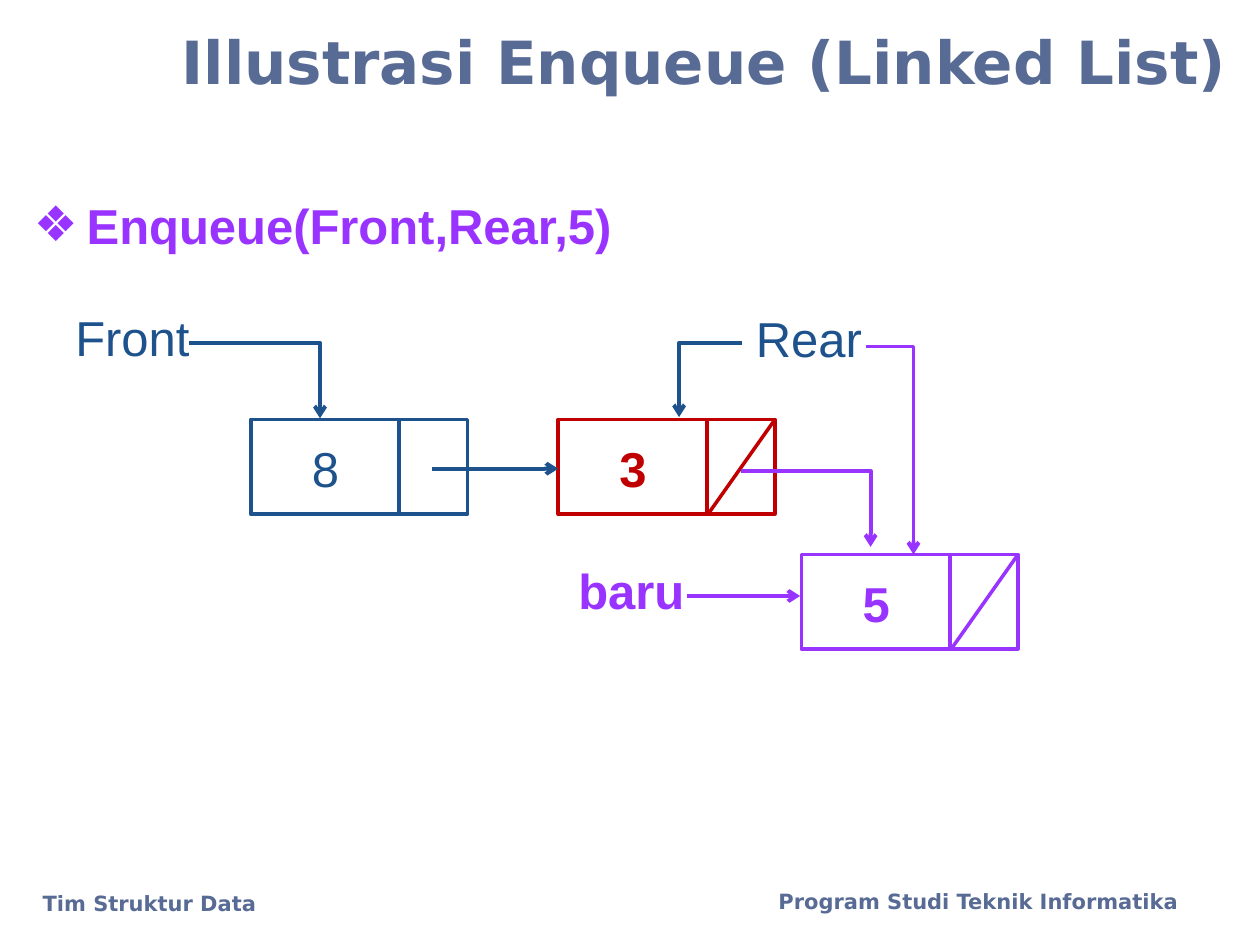
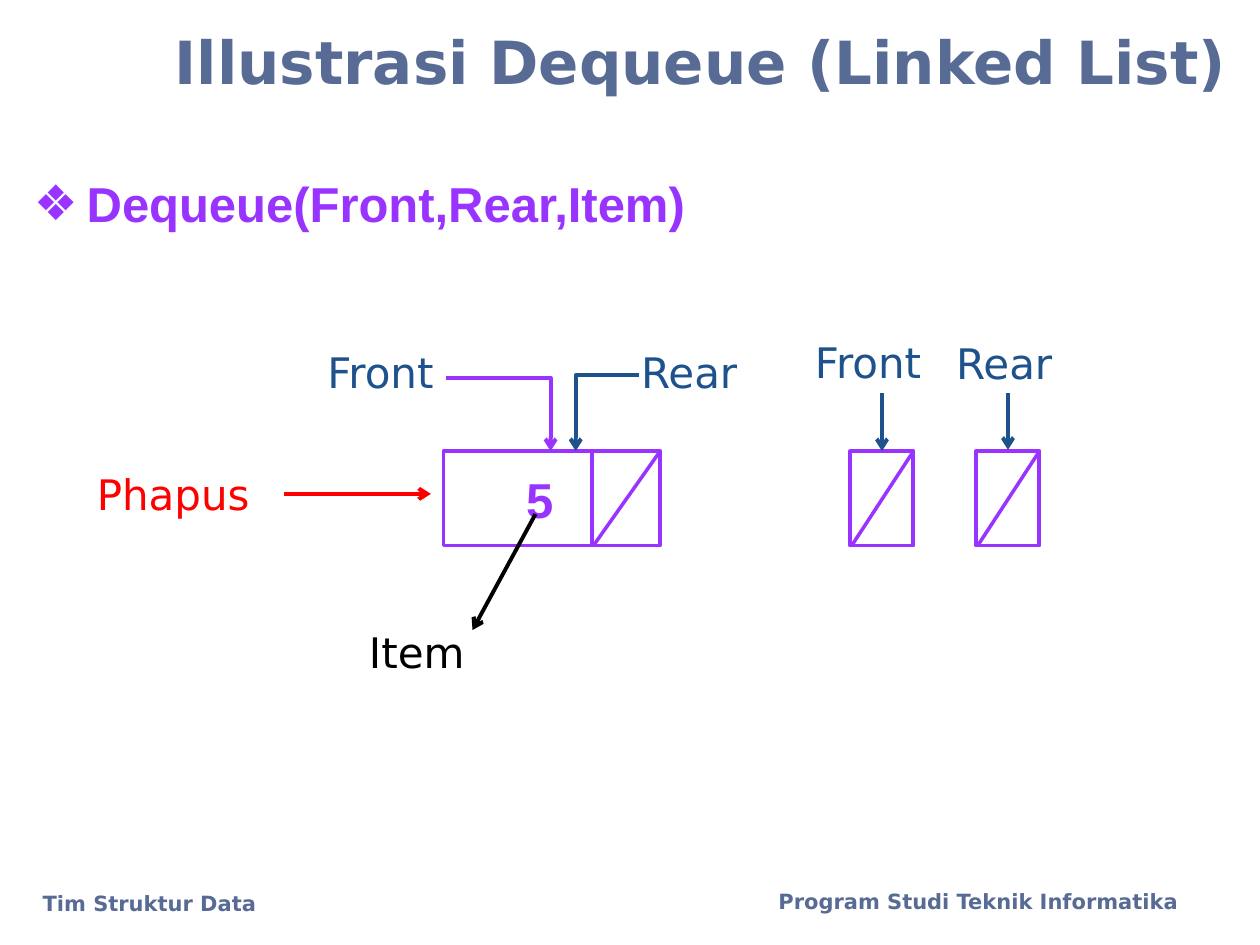
from dataclasses import dataclass

from lxml import etree
from pptx import Presentation
from pptx.dml.color import RGBColor
from pptx.enum.shapes import MSO_CONNECTOR, MSO_SHAPE
from pptx.enum.text import MSO_ANCHOR, PP_ALIGN
from pptx.oxml.ns import qn
from pptx.util import Inches, Pt

STRAIGHT, ELBOW = MSO_CONNECTOR.STRAIGHT, MSO_CONNECTOR.ELBOW
RECTANGLE = MSO_SHAPE.RECTANGLE
LEFT, RIGHT = PP_ALIGN.LEFT, PP_ALIGN.RIGHT
TOP, MIDDLE = MSO_ANCHOR.TOP, MSO_ANCHOR.MIDDLE

WHITE = RGBColor(0xFF, 0xFF, 0xFF)
BLACK = RGBColor(0x00, 0x00, 0x00)
SLATE = RGBColor(0x58, 0x6B, 0x95)
BLUE = RGBColor(0x1D, 0x52, 0x8D)
PURPLE = RGBColor(0x99, 0x33, 0xFF)
CRIMSON = RGBColor(0xC0, 0x00, 0x00)
RED = RGBColor(0xFF, 0x00, 0x00)

SANS, ARIAL = "DejaVu Sans", "Arial"

# The slide is a grid of 100 columns by 75 rows with square cells
SLIDE_WIDTH, SLIDE_HEIGHT = Inches(10), Inches(7.5)
CELL = SLIDE_WIDTH / 100

NODE_WIDTH, NODE_HEIGHT = 17.2, 7.5
DATA_WIDTH = 11.8
POINTER_WIDTH = 5
THIN, THICK = 2, 2.25
BULLET_INDENT = 4.2


def cells(count: float) -> int:
    """Length of a number of grid cells."""
    return round(count * CELL)


@dataclass(frozen=True)
class Label:
    text: str
    left: float
    top: float
    width: float = 12.6
    height: float = 5
    size: float = 24
    font: str = SANS
    color: RGBColor = BLUE
    bold: bool = False
    align: int = LEFT
    anchor: int = TOP
    bullet: bool = False


@dataclass(frozen=True)
class Node:
    """List node: a data field and a pointer field, crossed when nil."""
    value: str
    left: float
    top: float
    color: RGBColor = PURPLE
    bold: bool = True
    nil: bool = True
    value_shift: float = 1.7


@dataclass(frozen=True)
class NilPointer:
    left: float
    top: float


@dataclass(frozen=True)
class Arrow:
    start: tuple[float, float]
    end: tuple[float, float]
    color: RGBColor = BLUE
    kind: int = STRAIGHT


def add_label(page, label: Label) -> None:
    box = page.shapes.add_textbox(*map(cells, (label.left, label.top,
                                               label.width, label.height)))
    frame = box.text_frame
    para = frame.paragraphs[0]
    span = para.add_run()
    span.text = label.text
    formats = {
        frame: {"word_wrap": True, "vertical_anchor": label.anchor},
        para: {"alignment": label.align},
        span.font: {"name": label.font, "size": Pt(label.size),
                    "bold": label.bold},
    }
    for target, values in formats.items():
        for name, value in values.items():
            setattr(target, name, value)
    span.font.color.rgb = label.color
    if label.bullet:
        properties = para._p.get_or_add_pPr()
        properties.set("marL", str(cells(BULLET_INDENT)))
        properties.set("indent", str(-cells(BULLET_INDENT)))
        etree.SubElement(properties, qn("a:buFont")).set("typeface", SANS)
        etree.SubElement(properties, qn("a:buChar")).set("char", "❖")


def add_line(page, start: tuple[float, float], end: tuple[float, float],
             color: RGBColor, weight: float = THICK, kind: int = STRAIGHT,
             head: bool = False) -> None:
    line = page.shapes.add_connector(kind, *map(cells, (*start, *end)))
    line.line.color.rgb = color
    line.line.width = Pt(weight)
    properties = line._element.spPr
    if kind == ELBOW:
        # One bend only: across, then down
        properties.find(qn("a:prstGeom")).set("prst", "bentConnector2")
    if head:
        outline = line.line._get_or_add_ln()
        etree.SubElement(outline, qn("a:tailEnd")).set("type", "arrow")
    etree.SubElement(properties, qn("a:effectLst"))


def add_frame(page, left: float, top: float, width: float,
              color: RGBColor, weight: float, filled: bool) -> None:
    box = page.shapes.add_shape(RECTANGLE, *map(cells, (left, top, width,
                                                        NODE_HEIGHT)))
    box.shadow.inherit = False
    if filled:
        box.fill.solid()
        box.fill.fore_color.rgb = WHITE
    else:
        box.fill.background()
    box.line.color.rgb = color
    box.line.width = Pt(weight)


def add_slash(page, left: float, right: float, top: float,
              color: RGBColor) -> None:
    add_line(page, (right, top), (left + 0.1, top + NODE_HEIGHT), color, THIN)


def add_node(page, node: Node) -> None:
    divider, right = node.left + DATA_WIDTH, node.left + NODE_WIDTH
    add_frame(page, node.left, node.top, NODE_WIDTH, node.color, THIN, True)
    add_line(page, (divider, node.top), (divider, node.top + NODE_HEIGHT),
             node.color)
    if node.nil:
        add_slash(page, divider, right, node.top, node.color)
    add_label(page, Label(node.value, node.left + node.value_shift,
                          node.top + 1, 6.3, 5.7, 28, ARIAL, node.color,
                          node.bold, RIGHT))


def add_nil_pointer(page, pointer: NilPointer) -> None:
    add_slash(page, pointer.left, pointer.left + POINTER_WIDTH, pointer.top,
              PURPLE)
    add_frame(page, pointer.left, pointer.top, POINTER_WIDTH, PURPLE, THICK,
              False)


def add_arrow(page, arrow: Arrow) -> None:
    add_line(page, arrow.start, arrow.end, arrow.color, kind=arrow.kind,
             head=True)


DRAW = {Label: add_label, Node: add_node, NilPointer: add_nil_pointer,
        Arrow: add_arrow}

FOOTERS = (
    Label("Tim Struktur Data", 2.4, 70.2, 30.1, 3.5, 12, color=SLATE,
          bold=True),
    Label("Program Studi Teknik Informatika", 60.8, 70, 36.7, 5, 12,
          color=SLATE, bold=True),
)


def add_page(deck, title: str, call: str, call_top: float,
             parts: tuple) -> None:
    page = deck.slides.add_slide(deck.slide_layouts[6])
    shared = (
        Label(title, 8.3, 1.7, 90, 6.2, 34, color=SLATE, bold=True,
              align=RIGHT, anchor=MIDDLE),
        Label(call, 1.7, call_top, 56, 5.7, 28, ARIAL, PURPLE, True,
              bullet=True),
        *FOOTERS,
    )
    for part in shared + parts:
        DRAW[type(part)](page, part)


ENQUEUE = (
    Node("8", 19.9, 33.3, BLUE, bold=False, nil=False),
    Node("3", 44.3, 33.3, CRIMSON),
    Node("5", 63.6, 44),
    # Variables that point at the nodes
    Label("Front", 5, 23.9, height=5.7, size=28, font=ARIAL),
    Label("Rear", 59, 24, height=5.7, size=28, font=ARIAL),
    Label("baru", 42.7, 44, height=5.7, size=28, font=ARIAL, color=PURPLE,
          bold=True, align=RIGHT),
    Arrow((15, 27.2), (25.4, 33.2), kind=ELBOW),
    Arrow((58.9, 27.2), (53.9, 33.1), kind=ELBOW),
    Arrow((68.7, 27.5), (72.5, 44), PURPLE, ELBOW),
    Arrow((54.5, 47.3), (63.5, 47.3), PURPLE),
    # Links between the nodes
    Arrow((34.3, 37.2), (44.3, 37.2)),
    Arrow((58.8, 37.4), (69.1, 43.4), PURPLE, ELBOW),
)

DEQUEUE = (
    Node("5", 35.2, 35.8, value_shift=3.4),
    # Before: both variables point at the only node
    Label("Front", 25, 27),
    Label("Rear", 49.9, 27),
    Label("Phapus", 6.7, 36.7, 15.8, color=RED),
    Label("Item", 28.3, 49.2, 15.8, color=BLACK),
    Arrow((35.4, 30), (43.7, 35.8), PURPLE, ELBOW),
    Arrow((50.7, 29.8), (45.7, 35.8), kind=ELBOW),
    Arrow((22.5, 39.2), (34.2, 39.2), RED),
    Arrow((42.5, 40.8), (37.5, 50), BLACK),
    # After: both variables are nil
    Label("Front", 63.7, 26.2),
    Label("Rear", 74.9, 26.3),
    NilPointer(67.5, 35.8),
    NilPointer(77.5, 35.8),
    Arrow((70, 31.2), (70, 35.8)),
    Arrow((80, 31.2), (80, 35.7)),
)


def main() -> None:
    deck = Presentation()
    deck.slide_width, deck.slide_height = SLIDE_WIDTH, SLIDE_HEIGHT
    add_page(deck, "Illustrasi Enqueue (Linked List)",
             "Enqueue(Front,Rear,5)", 15, ENQUEUE)
    add_page(deck, "Illustrasi Dequeue (Linked List)",
             "Dequeue(Front,Rear,Item)", 13.3, DEQUEUE)
    deck.save("out.pptx")


if __name__ == "__main__":
    main()
